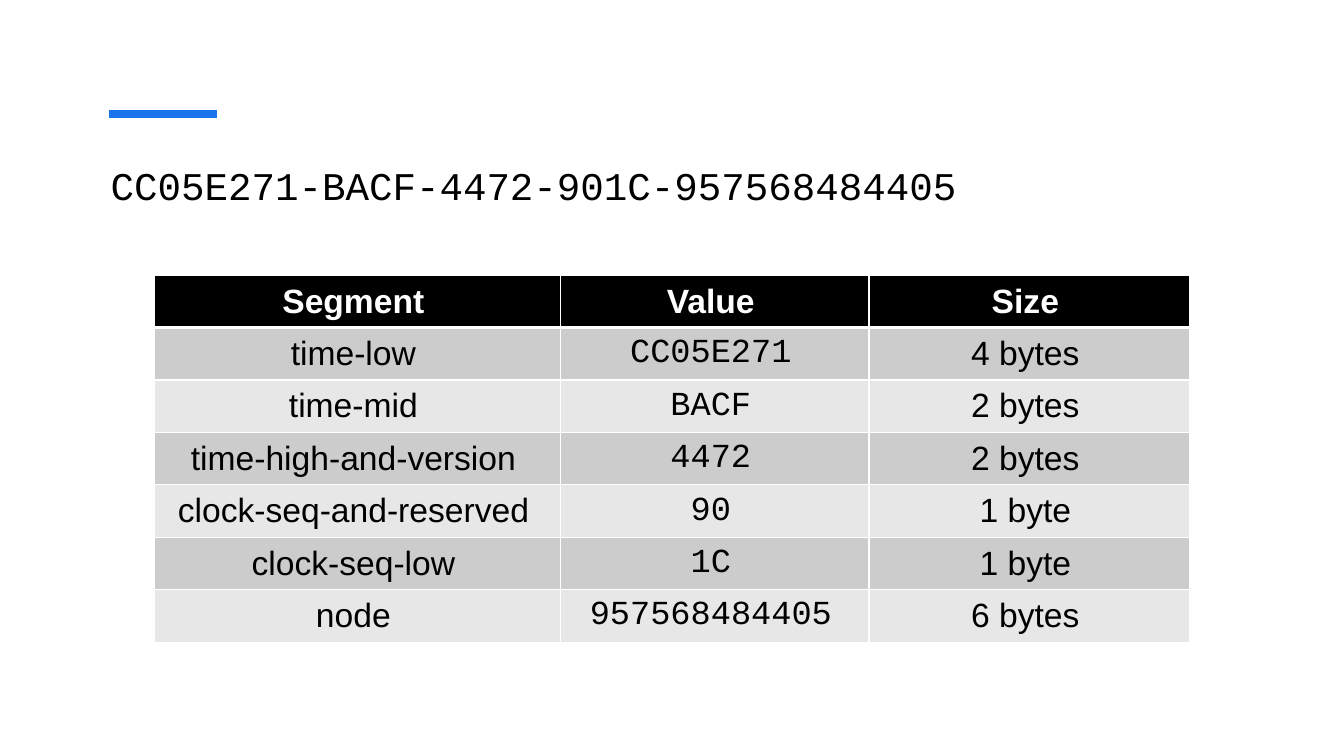
from lxml import etree
from pptx import Presentation
from pptx import util as u
from pptx.dml.color import RGBColor
from pptx.enum import shapes, text
from pptx.oxml import ns

UUID = "CC05E271-BACF-4472-901C-957568484405"
SEGMENTS = [
    ("Segment", "Value", "Size"),
    ("time-low", "CC05E271", "4 bytes"),
    ("time-mid", "BACF", "2 bytes"),
    ("time-high-and-version", "4472", "2 bytes"),
    ("clock-seq-and-reserved", "90", "1 byte"),
    ("clock-seq-low", "1C", "1 byte"),
    ("node", "957568484405", "6 bytes"),
]


def color(value):
    return RGBColor.from_string(value)


def write(frame, content, font="Arial", size=24, fill="000000", bold=False,
          align=text.PP_ALIGN.LEFT):
    paragraph = frame.paragraphs[0]
    paragraph.alignment = align
    run = paragraph.add_run()
    run.text = content
    run.font.name = font
    run.font.size = u.Pt(size)
    run.font.bold = bold
    run.font.color.rgb = color(fill)


def set_borders(cell, widths, line_color="FFFFFF"):
    """Draw the left, right, top and bottom borders, with widths in points."""
    properties = cell._tc.get_or_add_tcPr()
    for index, (side, width) in enumerate(zip("LRTB", widths)):
        line = etree.Element(ns.qn(f"a:ln{side}"), w=str(u.Pt(width)))
        fill = etree.SubElement(line, ns.qn("a:solidFill"))
        etree.SubElement(fill, ns.qn("a:srgbClr"), val=line_color)
        properties.insert(index, line)


class SlideBuilder:
    sans = "Arial"
    mono = "Courier New"
    accent = "1973EB"
    header_fill = "000000"
    band_fills = ("E7E7E7", "CCCCCC")

    def __init__(self, slide):
        self.slide = slide

    def accent_line(self, left, right, y):
        line = self.slide.shapes.add_connector(
            shapes.MSO_CONNECTOR.STRAIGHT,
            u.Inches(left), u.Inches(y), u.Inches(right), u.Inches(y))
        line.line.color.rgb = color(self.accent)
        line.line.width = u.Pt(6)
        etree.SubElement(line._element.spPr, ns.qn("a:effectLst"))

    def title(self, content, left, top, width, height):
        box = self.slide.shapes.add_textbox(*map(u.Inches, (left, top, width, height)))
        frame = box.text_frame
        frame.word_wrap = True
        frame.margin_top = u.Inches(0.1)
        write(frame, content, font=self.mono, size=28)

    def table(self, rows, left, top, column_widths, row_height):
        table = self.slide.shapes.add_table(
            len(rows), len(column_widths), u.Inches(left), u.Inches(top),
            u.Inches(sum(column_widths)), u.Inches(row_height * len(rows))).table
        for column, width in zip(table.columns, column_widths):
            column.width = u.Inches(width)
        for row, values in enumerate(rows):
            for column, value in enumerate(values):
                self.cell(table.cell(row, column), value, row, column)

    def cell(self, cell, value, row, column):
        header = row == 0
        cell.vertical_anchor = text.MSO_ANCHOR.MIDDLE
        cell.margin_left = u.Inches(0.02)
        cell.margin_right = u.Inches(0.1)
        cell.margin_top = cell.margin_bottom = u.Inches(0.06)
        cell.fill.solid()
        cell.fill.fore_color.rgb = color(
            self.header_fill if header else self.band_fills[row % 2])
        set_borders(cell, (1, 1, 3 if row == 1 else 1, 3 if header else 1))
        write(cell.text_frame, value,
              font=self.mono if column == 1 and not header else self.sans,
              fill="FFFFFF" if header else "000000", bold=header,
              align=text.PP_ALIGN.CENTER)


def main():
    presentation = Presentation()
    presentation.slide_width = u.Inches(13.33)
    presentation.slide_height = u.Inches(7.5)
    builder = SlideBuilder(presentation.slides.add_slide(presentation.slide_layouts[6]))
    builder.accent_line(1.08, 2.15, 1.13)
    builder.title(UUID, 1, 1.5, 11.33, 1.44)
    builder.table(SEGMENTS, 1.53, 2.73, (4.03, 3.06, 3.18), 0.5)
    presentation.save("out.pptx")


if __name__ == "__main__":
    main()
